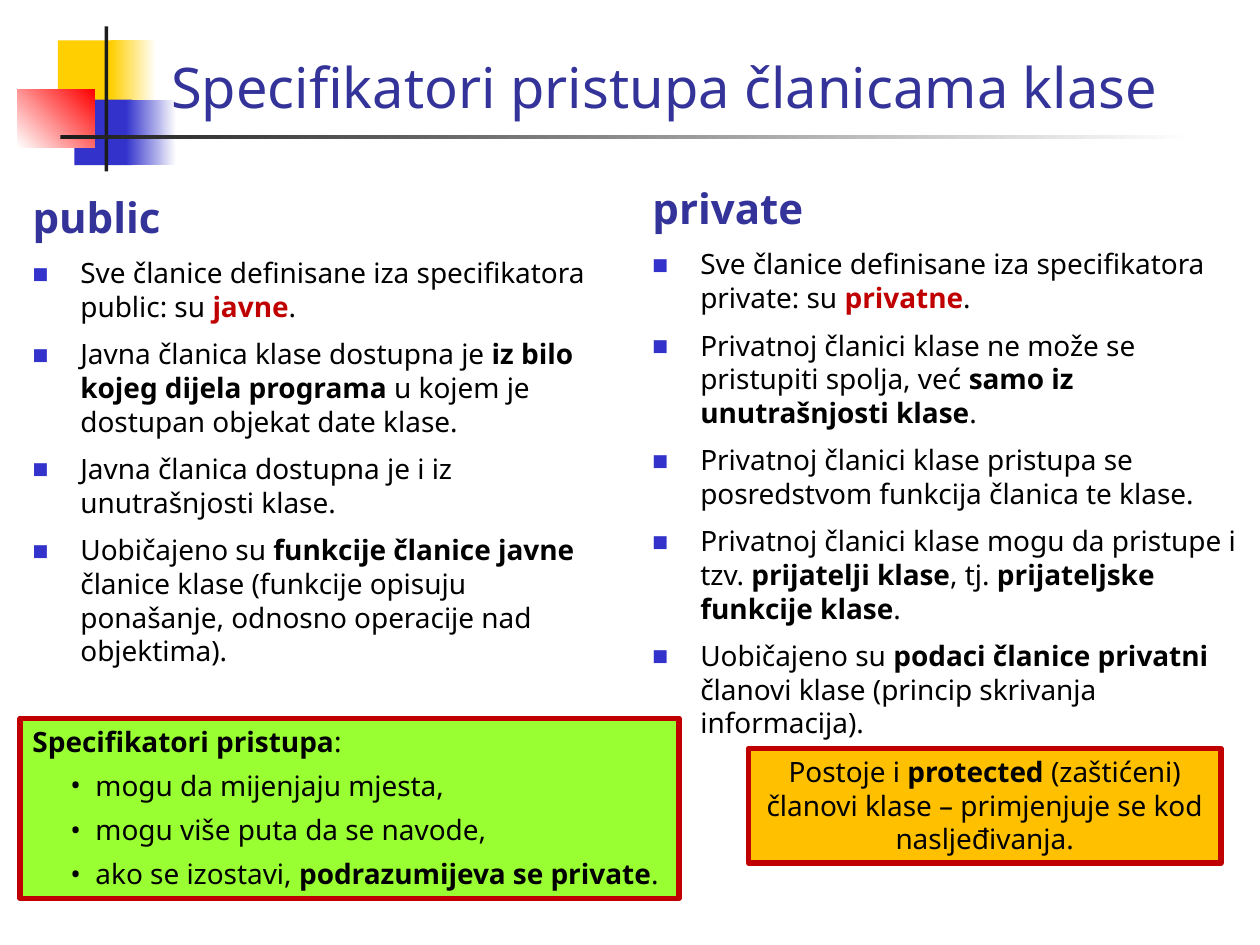
from lxml import etree
from pptx import Presentation
from pptx.dml.color import RGBColor
from pptx.enum import shapes, text
from pptx.oxml.ns import qn
from pptx.util import Inches, Pt

FONT = "Noto Sans"
YELLOW = RGBColor(0xFF, 0xCF, 0x01)
BLUE = RGBColor(0x33, 0x33, 0xCC)
RED = RGBColor(0xFF, 0x00, 0x00)
WHITE = RGBColor(0xFF, 0xFF, 0xFF)
DARK = RGBColor(0x1C, 0x1C, 0x1C)
NAVY = RGBColor(0x33, 0x33, 0x99)
BLACK = RGBColor(0x00, 0x00, 0x00)
CRIMSON = RGBColor(0xC0, 0x00, 0x00)
ORANGE = RGBColor(0xFF, 0xC0, 0x00)
GREEN = RGBColor(0x99, 0xFF, 0x33)

KEYWORDS = ("javne", "privatne")


def write(para, content, size=16, color=BLACK, before=0):
    para.font.name = FONT
    para.font.size = Pt(size)
    para.font.color.rgb = color
    para.space_before = Pt(before)
    for index, part in enumerate(content.split("|")):
        if part:
            span = para.add_run()
            span.text = part
            if index % 2:
                span.font.bold = True
            if part in KEYWORDS:
                span.font.color.rgb = CRIMSON


def indent(para, left, hanging, bullet=None, color=None, percent=100):
    props = para._p.get_or_add_pPr()
    props.set("marL", str(Inches(left)))
    props.set("indent", str(-Inches(hanging)))
    marks = []
    if color is not None:
        marks.append(etree.Element(qn("a:buClr")))
        etree.SubElement(marks[0], qn("a:srgbClr"), val=str(color))
    if bullet:
        marks.append(etree.Element(qn("a:buSzPct"), val=str(percent * 1000)))
        marks.append(etree.Element(qn("a:buFont"), typeface=FONT))
        marks.append(etree.Element(qn("a:buChar"), char=bullet))
    defaults = props.find(qn("a:defRPr"))
    for mark in marks:
        defaults.addprevious(mark)


deck = Presentation()
deck.slide_width = Inches(10)
deck.slide_height = Inches(7.5)
page = deck.slides.add_slide(deck.slide_layouts[6])

ornaments = [
    (0.46, 0.32, 0.48, 0.52, YELLOW, None, 0),
    (0.88, 0.32, 0.36, 0.52, YELLOW, WHITE, 0),
    (0.59, 0.79, 0.46, 0.52, BLUE, None, 0),
    (1, 0.79, 0.4, 0.52, BLUE, WHITE, 0),
    (0.14, 0.71, 0.61, 0.46, WHITE, RED, 45),
    (0.83, 0.21, 0.03, 1.15, DARK, None, 0),
    (0.48, 1.07, 9, 0.03, DARK, WHITE, 0),
]
for left, top, width, height, start, finish, angle in ornaments:
    block = page.shapes.add_shape(
        shapes.MSO_SHAPE.RECTANGLE, Inches(left), Inches(top), Inches(width), Inches(height))
    block.shadow.inherit = False
    block.line.fill.background()
    if finish is None:
        block.fill.solid()
        block.fill.fore_color.rgb = start
    else:
        block.fill.gradient()
        block.fill.gradient_angle = angle
        for stop, color, position in zip(block.fill.gradient_stops, (start, finish), (0, 1)):
            stop.color.rgb = color
            stop.position = position

title = page.shapes.add_textbox(Inches(1.26), Inches(0.13), Inches(8.52), Inches(0.87))
title.text_frame.word_wrap = True
title.text_frame.vertical_anchor = text.MSO_ANCHOR.BOTTOM
write(title.text_frame.paragraphs[0], "Specifikatori pristupa članicama klase", 32, NAVY)

columns = [
    (0.16, 1.55, 4.69, 3.92, "|public|", [
        "Sve članice definisane iza specifikatora public: su |javne|.",
        "Javna članica klase dostupna je |iz bilo kojeg dijela programa| u kojem je "
        "dostupan objekat date klase.",
        "Javna članica dostupna je i iz unutrašnjosti klase.",
        "Uobičajeno su |funkcije članice javne| članice klase (funkcije opisuju "
        "ponašanje, odnosno operacije nad objektima).",
    ]),
    (5.08, 1.48, 4.88, 4.53, "|private|", [
        "Sve članice definisane iza specifikatora private: su |privatne|.",
        "Privatnoj članici klase ne može se pristupiti spolja, već "
        "|samo iz unutrašnjosti klase|.",
        "Privatnoj članici klase pristupa se posredstvom funkcija članica te klase.",
        "Privatnoj članici klase mogu da pristupe i tzv. |prijatelji klase|, tj. "
        "|prijateljske funkcije klase|.",
        "Uobičajeno su |podaci članice privatni| članovi klase (princip skrivanja "
        "informacija).",
    ]),
]
for left, top, width, height, heading, points in columns:
    box = page.shapes.add_textbox(Inches(left), Inches(top), Inches(width), Inches(height))
    box.text_frame.word_wrap = True
    para = box.text_frame.paragraphs[0]
    write(para, heading, 24, NAVY, before=4.8)
    para.line_spacing = 0.8
    indent(para, 0.38, 0.38)
    for point in points:
        para = box.text_frame.add_paragraph()
        write(para, point, before=8)
        indent(para, 0.38, 0.38, "■", BLUE, 60)

notes = [
    (5.94, 5.94, 3.75, 0.91, ORANGE, text.PP_ALIGN.CENTER,
     "Postoje i |protected| (zaštićeni) članovi klase – primjenjuje se kod nasljeđivanja.", []),
    (0.16, 5.7, 5.23, 1.43, GREEN, text.PP_ALIGN.LEFT, "|Specifikatori pristupa|:", [
        "mogu da mijenjaju mjesta,",
        "mogu više puta da se navode,",
        "ako se izostavi, |podrazumijeva se private|.",
    ]),
]
for left, top, width, height, color, align, lead, points in notes:
    note = page.shapes.add_shape(
        shapes.MSO_SHAPE.RECTANGLE, Inches(left), Inches(top), Inches(width), Inches(height))
    note.shadow.inherit = False
    note.fill.solid()
    note.fill.fore_color.rgb = color
    note.line.color.rgb = CRIMSON
    note.line.width = Pt(3)
    frame = note.text_frame
    frame.word_wrap = True
    frame.vertical_anchor = text.MSO_ANCHOR.TOP
    frame.auto_size = text.MSO_AUTO_SIZE.SHAPE_TO_FIT_TEXT
    write(frame.paragraphs[0], lead)
    frame.paragraphs[0].alignment = align
    for point in points:
        para = frame.add_paragraph()
        para.level = 1
        para.alignment = align
        write(para, point, before=6)
        indent(para, 0.5, 0.2, "•")

deck.save("out.pptx")
